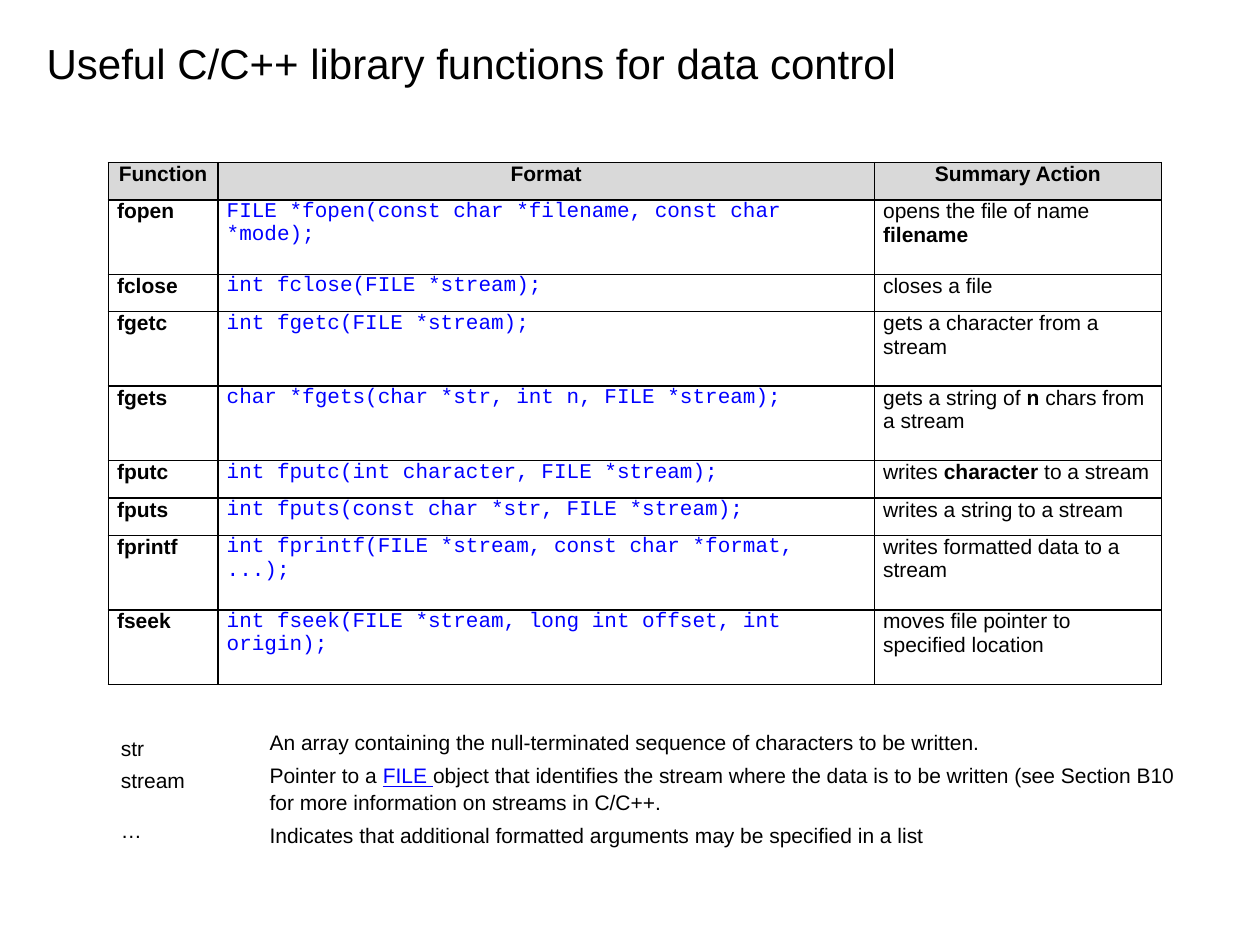
import pptx
import pptx.util
import pptx.dml.color
import pptx.enum.text
import pptx.oxml
import lxml.etree

TITLE = "Useful C/C++ library functions for data control"
HEADINGS = ("Function", "Format", "Summary Action")
FUNCTIONS = [
    ("fopen", "FILE *fopen(const char *filename, const char\n*mode);", "opens the file of name\n|filename|", 2),
    ("fclose", "int fclose(FILE *stream);", "closes a file", 1),
    ("fgetc", "int fgetc(FILE *stream);", "gets a character from a stream", 2),
    ("fgets", "char *fgets(char *str, int n, FILE *stream);", "gets a string of |n |chars from a stream", 2),
    ("fputc", "int fputc(int character, FILE *stream);", "writes |character |to a stream", 1),
    ("fputs", "int fputs(const char *str, FILE *stream);", "writes a string to a stream", 1),
    ("fprintf", "int fprintf(FILE *stream, const char *format,\n...);", "writes formatted data to a stream", 2),
    ("fseek", "int fseek(FILE *stream, long int offset, int origin);", "moves file pointer to specified location", 2),
]
NOTES = (
    "An array containing the null-terminated sequence of characters to be written.\n"
    "Pointer to a |FILE |object that identifies the stream where the data is to be written "
    "(see Section B10 for more information on streams in C/C++.\n"
    "Indicates that additional formatted arguments may be specified in a list"
)
THEME = {
    "text": "000000", "code": "0000FF", "heading": "D9D9D9", "border": "000000",
    "font": "Arial", "code_font": "Courier New", "title_size": 24, "body_size": 12,
}
WIDTH, HEIGHT = 10, 7.5
TABLE_LEFT, TABLE_TOP = 0.86, 1.29
COLUMNS = (0.87, 5.21, 2.28)
ROW_UNIT = 0.296
CELL_INSET = 0.07
TERM_LEFT, NOTES_LEFT, NOTES_TOP = 0.95, 2.13, 5.78

Inches, Pt = pptx.util.Inches, pptx.util.Pt
CENTER = pptx.enum.text.PP_ALIGN.CENTER


def color(name):
    return pptx.dml.color.RGBColor.from_string(THEME[name])


def write(frame, text, size="body_size", font="font", ink="text", bold=False,
          emphasis="bold", align=None, spacing=None, before=None):
    frame.word_wrap = True
    frame.text = text
    for index, paragraph in enumerate(frame.paragraphs):
        parts = paragraph.text.split("|")
        paragraph.text = parts[0]
        for part in parts[1:]:
            paragraph.add_run().text = part
        paragraph.alignment = align
        paragraph.line_spacing = spacing
        if before and index:
            paragraph.space_before = Pt(before)
        marked = [run for run in paragraph.runs if run.text in parts[1::2]]
        for run in paragraph.runs:
            run.font.name = THEME[font]
            run.font.size = Pt(THEME[size])
            run.font.bold = bold
            run.font.color.rgb = color(ink)
        for run in marked:
            if emphasis == "bold":
                run.font.bold = True
            else:
                run.font.underline = True
                run.font.color.rgb = color("code")


def add_text(slide, box, text, **style):
    frame = slide.shapes.add_textbox(*map(Inches, box)).text_frame
    frame.margin_top = frame.margin_right = frame.margin_bottom = 0
    frame.margin_left = Inches(0.01)
    write(frame, text, **style)


def add_borders(cell):
    properties = cell._tc.get_or_add_tcPr()
    for position, side in enumerate(("lnL", "lnR", "lnT", "lnB")):
        properties.insert(position, pptx.oxml.parse_xml(
            f'<a:{side} xmlns:a="http://schemas.openxmlformats.org/drawingml/2006/main" '
            f'w="{Pt(1)}"><a:solidFill><a:srgbClr val="{THEME["border"]}"/>'
            f'</a:solidFill></a:{side}>'))


def add_function_table(slide):
    rows = [(*HEADINGS, 1), *FUNCTIONS]
    units = [row[-1] for row in rows]
    table = slide.shapes.add_table(
        len(rows), len(COLUMNS), Inches(TABLE_LEFT), Inches(TABLE_TOP),
        Inches(sum(COLUMNS)), Inches(sum(units) * ROW_UNIT)).table
    for column, width in zip(table.columns, COLUMNS):
        column.width = Inches(width)
    for row, unit in zip(table.rows, units):
        row.height = Inches(unit * ROW_UNIT)
    column_styles = ({"bold": True}, {"font": "code_font", "ink": "code"}, {})
    for row_index, row in enumerate(rows):
        for column_index, text in enumerate(row[:-1]):
            cell = table.cell(row_index, column_index)
            cell.margin_top = cell.margin_bottom = cell.margin_left = cell.margin_right = 0
            if row_index == 0:
                cell.fill.solid()
                cell.fill.fore_color.rgb = color("heading")
                write(cell.text_frame, text, bold=True, align=CENTER)
            else:
                cell.fill.background()
                cell.margin_left = Inches(CELL_INSET)
                cell.margin_right = Inches(0.05 if column_index == 2 else 0)
                write(cell.text_frame, text, **column_styles[column_index])
            add_borders(cell)


presentation = pptx.Presentation()
presentation.slide_width, presentation.slide_height = Inches(WIDTH), Inches(HEIGHT)
slide = presentation.slides.add_slide(presentation.slide_layouts[6])
add_text(slide, (0.36, 0.3, 9.28, 0.36), TITLE, size="title_size")
add_text(slide, (TERM_LEFT, NOTES_TOP, 0.54, 0.45), "str stream", spacing=1.28)
add_text(slide, (NOTES_LEFT, NOTES_TOP, 7.21, 0.91), NOTES,
         emphasis="link", spacing=1.05, before=4)
add_text(slide, (TERM_LEFT, 6.49, 0.19, 0.19), "…")
add_function_table(slide)
presentation.save("out.pptx")
